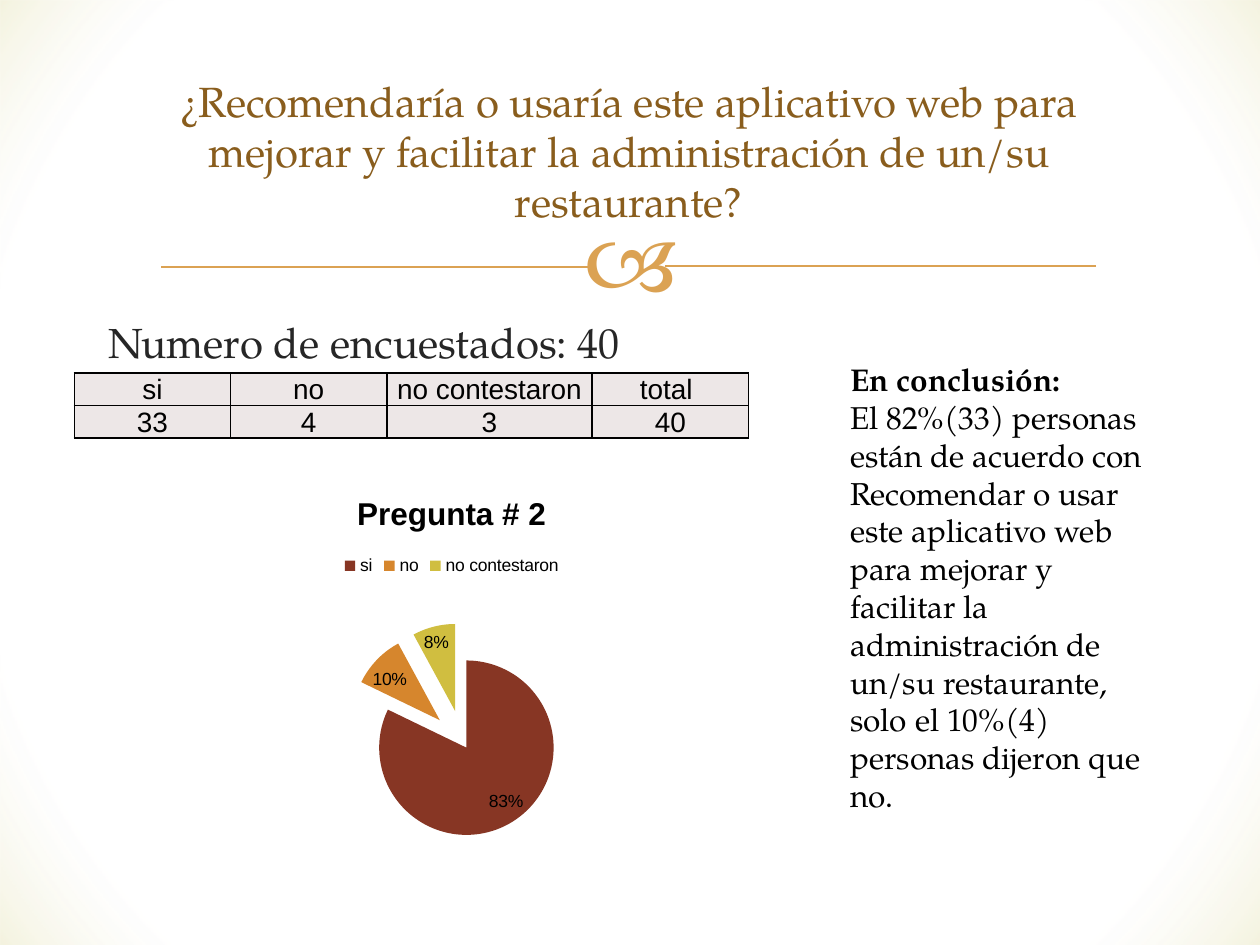
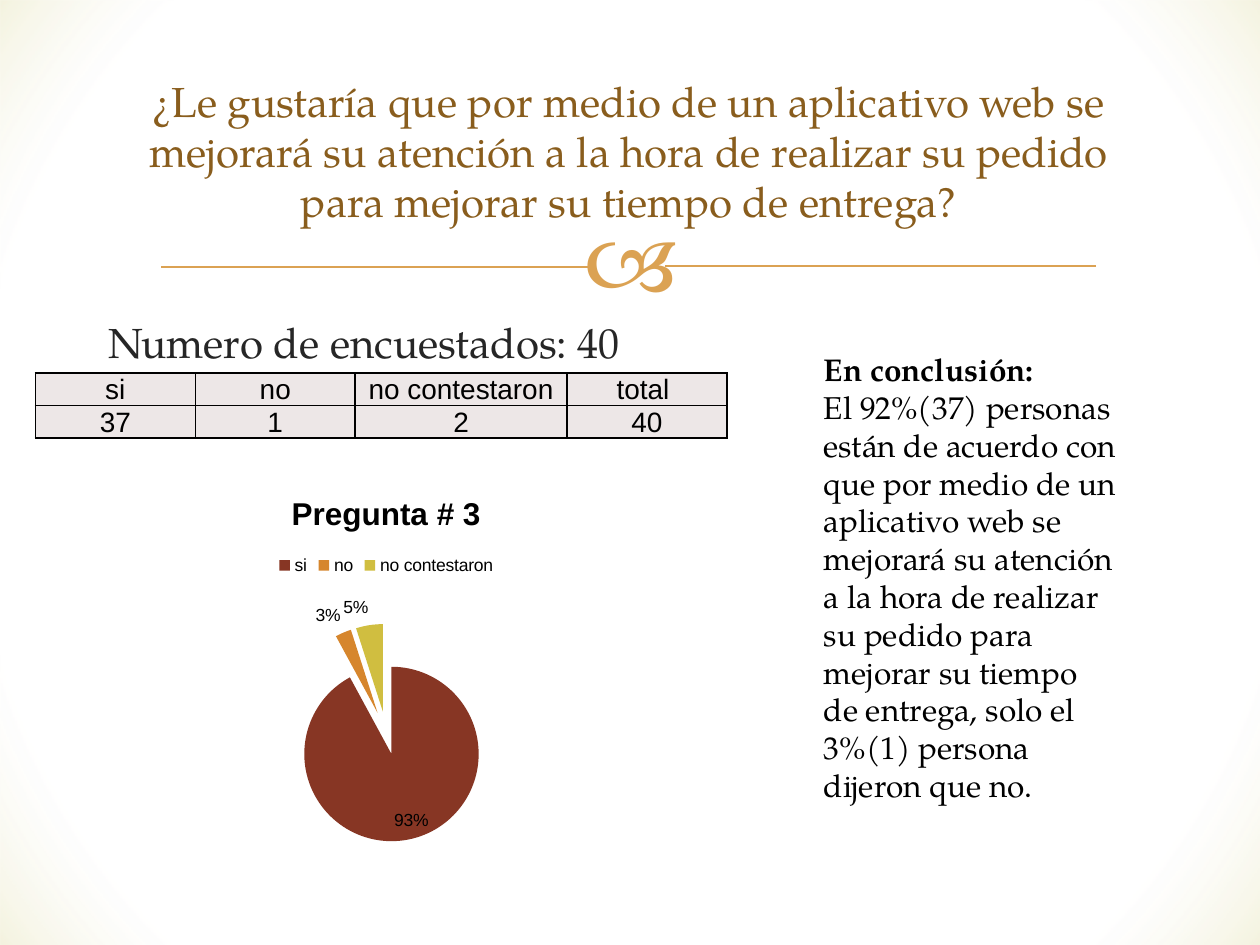
from lxml import etree
from pptx import Presentation
from pptx.chart.data import CategoryChartData
from pptx.dml.color import RGBColor
from pptx.enum.chart import XL_CHART_TYPE as CT, XL_LABEL_POSITION as LP, XL_LEGEND_POSITION as LEG
from pptx.enum.shapes import MSO_CONNECTOR as CONN, MSO_SHAPE as SHAPE
from pptx.enum.text import MSO_ANCHOR as ANCHOR, PP_ALIGN as ALIGN
from pptx.oxml import parse_xml
from pptx.oxml.ns import nsdecls, qn
from pptx.util import Inches, Pt

COLORS = {
    "white": "FFFFFF", "glow": "D0C974", "gold": "DBA253", "title": "895D1D",
    "body": "262626", "black": "000000", "cell": "EDE7E7",
    "si": "873624", "no": "D6862D", "blank": "D0BE40",
}
SERIF = "TeX Gyre Pagella"
STYLES = {
    "ornament": {"name": "Open Sans", "size": Pt(54), "color": "gold"},
    "title": {"name": SERIF, "size": Pt(24), "color": "title"},
    "body": {"name": SERIF, "size": Pt(24), "color": "body"},
    "heading": {"name": SERIF, "size": Pt(18), "color": "black", "bold": True},
    "conclusion": {"name": SERIF, "size": Pt(18), "color": "black", "bold": False},
    "cell": {"name": "Arial", "size": Pt(16), "color": "black"},
    "chart": {"name": "Arial", "size": Pt(10), "color": "black"},
    "chart title": {"name": "Arial", "size": Pt(18), "color": "black", "bold": True},
}
ANSWERS = ["si", "no", "no contestaron"]
SLICES = ["si", "no", "blank"]
SURVEYS = [
    {
        "title": "¿Recomendaría o usaría este aplicativo web para mejorar y facilitar "
                 "la administración de un/su restaurante?",
        "counts": [33, 4, 3],
        "table": (0.59, [1.24, 1.24, 1.63, 1.24]),
        "conclusion": "El 82%(33) personas están de acuerdo con Recomendar o usar este "
                      "aplicativo web para mejorar y facilitar la administración de un/su "
                      "restaurante, solo el 10%(4) personas dijeron que no.",
        "conclusion box": (6.65, 2.81, 2.68, 3.74),
        "chart": "Pregunta # 2", "chart box": (0.83, 3.75, 5.51, 3.23),
        "explosions": [7, 37, 37],
    },
    {
        "title": "¿Le gustaría que por medio de un aplicativo web se\nmejorará su atención "
                 "a la hora de realizar su pedido para mejorar su tiempo de entrega?",
        "counts": [37, 1, 2],
        "table": (0.28, [1.27, 1.27, 1.68, 1.27]),
        "conclusion": "El 92%(37) personas están de acuerdo con que por medio de un "
                      "aplicativo web se mejorará su atención a la hora de realizar su "
                      "pedido para mejorar su tiempo de entrega, solo el 3%(1) persona "
                      "dijeron que no.",
        "conclusion box": (6.44, 2.73, 2.52, 4.04),
        "chart": "Pregunta # 3", "chart box": (0.35, 3.75, 5.43, 3.07),
        "explosions": [25, 25, 25],
    },
]


def rgb(name):
    """Return the named colour."""
    return RGBColor.from_string(COLORS[name])


def style_font(font, style):
    """Apply a named text style to a font."""
    for key, value in STYLES[style].items():
        if key == "color":
            font.color.rgb = rgb(value)
        else:
            setattr(font, key, value)


def write(p, text, style, align=ALIGN.LEFT):
    """Write styled text into a paragraph."""
    p.text = text
    p.alignment = align
    for r in p.runs:
        style_font(r.font, style)


def add_text(s, box, lines, align=ALIGN.LEFT, anchor=ANCHOR.TOP):
    """Add a text box with one paragraph per (text, style) pair."""
    tf = s.shapes.add_textbox(*map(Inches, box)).text_frame
    tf.word_wrap = True
    tf.vertical_anchor = anchor
    for i, (text, style) in enumerate(lines):
        write(tf.add_paragraph() if i else tf.paragraphs[0], text, style, align)


def add_background(s, prs):
    """Cover the slide with a faint glow towards the corners."""
    sp = s.shapes.add_shape(SHAPE.RECTANGLE, 0, 0, prs.slide_width, prs.slide_height)
    sp.shadow.inherit = False
    sp.line.fill.background()
    sp.fill.background()
    stops = "".join(
        f'<a:gs pos="{pos}000"><a:srgbClr val="{COLORS[color]}">'
        f'<a:alpha val="{alpha}000"/></a:srgbClr></a:gs>'
        for pos, color, alpha in [(0, "white", 11), (83, "white", 11), (100, "glow", 23)])
    spPr = sp._element.spPr
    spPr.replace(spPr.find(qn("a:noFill")), parse_xml(
        f'<a:gradFill {nsdecls("a")} rotWithShape="1"><a:gsLst>{stops}</a:gsLst>'
        '<a:path path="circle"><a:fillToRect l="50000" t="50000" r="50000" b="50000"/>'
        '</a:path></a:gradFill>'))


def add_rule(s, x1, y1, x2, y2):
    """Add a thin gold line."""
    c = s.shapes.add_connector(CONN.STRAIGHT, *map(Inches, (x1, y1, x2, y2)))
    c.line.color.rgb = rgb("gold")
    c.line.width = Pt(1)
    etree.SubElement(c._element.spPr, qn("a:effectLst"))


def add_divider(s):
    """Add the ornament with a rule on each side."""
    add_text(s, (4.54, 1.52, 0.96, 1.01), [("🙢", "ornament")])
    add_rule(s, 4.69, 2.12, 1.28, 2.12)
    add_rule(s, 8.7, 2.11, 5.28, 2.11)


def format_cell(cell, text):
    """Fill, border and write one table cell."""
    tcPr = cell._tc.get_or_add_tcPr()
    for side in "LRTB":
        tcPr.append(parse_xml(
            f'<a:ln{side} {nsdecls("a")} w="12700"><a:solidFill>'
            f'<a:srgbClr val="{COLORS["black"]}"/></a:solidFill></a:ln{side}>'))
    cell.fill.solid()
    cell.fill.fore_color.rgb = rgb("cell")
    margins = {"margin_left": 0.01, "margin_right": 0.01, "margin_top": 0.01, "margin_bottom": 0}
    for key, value in margins.items():
        setattr(cell, key, Inches(value))
    cell.vertical_anchor = ANCHOR.BOTTOM
    p = cell.text_frame.paragraphs[0]
    p.line_spacing = 0.93
    write(p, text, "cell", ALIGN.CENTER)


def add_counts_table(s, left, widths, counts):
    """Add the table of answers and their total."""
    rows = [ANSWERS + ["total "], counts + [sum(counts)]]
    box = map(Inches, (left, 2.96, sum(widths), 0.42))
    table = s.shapes.add_table(len(rows), len(widths), *box).table
    table.first_row = table.horz_banding = False
    for column, width in zip(table.columns, widths):
        column.width = Inches(width)
    for i, row in enumerate(rows):
        for j, value in enumerate(row):
            format_cell(table.cell(i, j), str(value))


def format_slice(point, color, explosion):
    """Colour one slice and pull it out of the pie."""
    fill = point.format.fill
    fill.solid()
    fill.fore_color.rgb = rgb(color)
    spPr = point.format._element.find(qn("c:spPr"))
    spPr.addprevious(parse_xml(f'<c:explosion {nsdecls("c")} val="{explosion}"/>'))


def add_pie(s, box, title, counts, explosions):
    """Add an exploded pie with the rounded percentage of each answer."""
    data = CategoryChartData()
    data.categories = ANSWERS
    data.add_series("Series 1", [int(100 * n / sum(counts) + 0.5) for n in counts])
    chart = s.shapes.add_chart(CT.PIE, *map(Inches, box), data).chart
    style_font(chart.font, "chart")
    chart.has_title = True
    write(chart.chart_title.text_frame.paragraphs[0], title, "chart title", ALIGN.CENTER)
    chart.has_legend = True
    chart.legend.position = LEG.TOP
    chart.legend.include_in_layout = False
    plot = chart.plots[0]
    plot.vary_by_categories = True
    series = plot.series[0]
    series._element.find(qn("c:tx")).addnext(
        parse_xml(f'<c:explosion {nsdecls("c")} val="{max(explosions)}"/>'))
    for i, (color, explosion) in enumerate(zip(SLICES, explosions)):
        format_slice(series.points[i], color, explosion)
    plot.has_data_labels = True
    labels = {"show_percentage": False, "show_value": True, "number_format": '0"%"',
              "number_format_is_linked": False, "position": LP.BEST_FIT}
    for key, value in labels.items():
        setattr(plot.data_labels, key, value)
    style_font(plot.data_labels.font, "chart")


def add_survey(prs, survey):
    """Add one survey question slide."""
    s = prs.slides.add_slide(prs.slide_layouts[6])
    add_background(s, prs)
    add_divider(s)
    total = sum(survey["counts"])
    add_text(s, (0.76, 2.46, 8.47, 4.24), [(f"Numero de encuestados: {total}", "body")])
    add_text(s, (0.75, 0.62, 8.48, 1.15), [(survey["title"], "title")],
             ALIGN.CENTER, ANCHOR.MIDDLE)
    add_counts_table(s, *survey["table"], survey["counts"])
    add_text(s, survey["conclusion box"],
             [("En conclusión:", "heading"), (survey["conclusion"], "conclusion")])
    add_pie(s, survey["chart box"], survey["chart"], survey["counts"], survey["explosions"])


def main():
    """Build and save the presentation."""
    prs = Presentation()
    prs.slide_width, prs.slide_height = Inches(10), Inches(7.5)
    for survey in SURVEYS:
        add_survey(prs, survey)
    prs.save("out.pptx")


if __name__ == "__main__":
    main()
